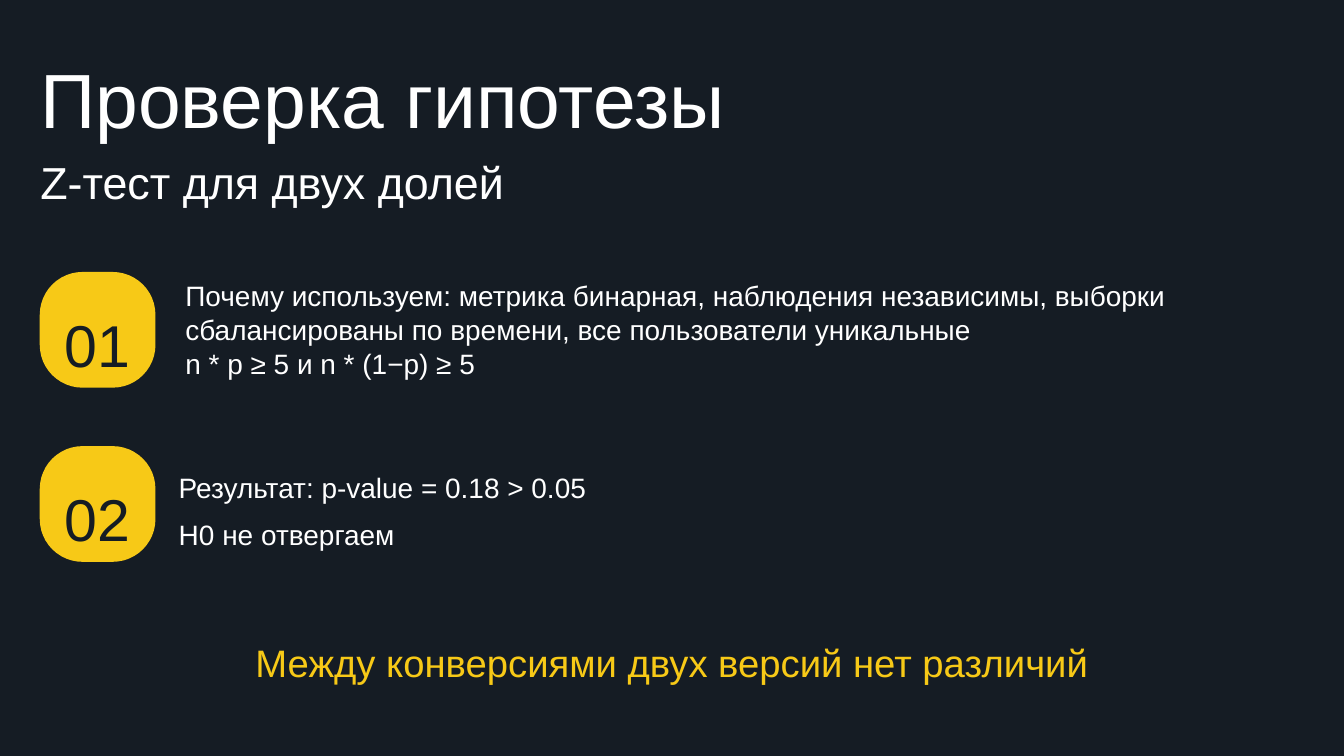
"""Builds the slide on testing the hypothesis with a two-proportion Z-test."""
from pptx import Presentation
from pptx.dml.color import RGBColor
from pptx.enum.shapes import MSO_SHAPE
from pptx.enum.text import MSO_AUTO_SIZE, PP_ALIGN
from pptx.util import Pt

ROUNDED = MSO_SHAPE.ROUNDED_RECTANGLE
GROW = MSO_AUTO_SIZE.SHAPE_TO_FIT_TEXT
LEFT, CENTER = PP_ALIGN.LEFT, PP_ALIGN.CENTER
COLORS = {"night": "151C24", "yellow": "F7C917", "white": "FFFFFF"}

deck = Presentation()
deck.slide_width, deck.slide_height = Pt(1440), Pt(810)
slide = deck.slides.add_slide(deck.slide_layouts[6])
slide.background.fill.solid()
slide.background.fill.fore_color.rgb = RGBColor.from_string(COLORS["night"])


def add_text(box, lines, color, spacing, align=LEFT, inset=0):
    frame = slide.shapes.add_textbox(*map(Pt, box)).text_frame
    frame.word_wrap = True
    frame.auto_size = GROW
    frame.margin_left = frame.margin_right = Pt(inset)
    frame.margin_top = frame.margin_bottom = Pt(inset)
    frame.text = "\n".join(text for text, size in lines)
    for paragraph, (text, size) in zip(frame.paragraphs, lines):
        paragraph.alignment = align
        paragraph.line_spacing = spacing
        font = paragraph.runs[0].font
        font.name = "Arial"
        font.size = Pt(size)
        font.color.rgb = RGBColor.from_string(COLORS[color])


for number, top in (("01", 291.4), ("02", 478)):
    badge = slide.shapes.add_shape(ROUNDED, Pt(42.6), Pt(top), Pt(124), Pt(124))
    badge.adjustments[0] = 0.37
    badge.shadow.inherit = False
    badge.fill.solid()
    badge.fill.fore_color.rgb = RGBColor.from_string(COLORS["yellow"])
    badge.line.fill.background()
    add_text((35.2, top + 24, 139, 76.3), [(number, 63.2)], "night", 1.2, CENTER)

add_text((191.5, 291.6, 1126, 123.8), [
    ("Почему используем: метрика бинарная, наблюдения независимы, "
     "выборки сбалансированы по времени, все пользователи уникальные", 30),
    ("n * p ≥ 5 и n * (1−p) ≥ 5", 30),
], "white", 1, inset=7.2)
add_text((191.5, 489.6, 939.6, 87.1), [
    ("Результат: p-value = 0.18 > 0.05", 30),
    ("Н0 не отвергаем", 30),
], "white", 1.4)
add_text((43.2, 36, 1142, 177.8), [
    ("Проверка гипотезы", 82.3),
    ("Z-тест для двух долей", 48),
], "white", 1.2)
add_text((250.6, 665.3, 939.6, 49.7),
         [("Между конверсиями двух версий нет различий", 41)], "yellow", 1.4, CENTER)

deck.save("out.pptx")
